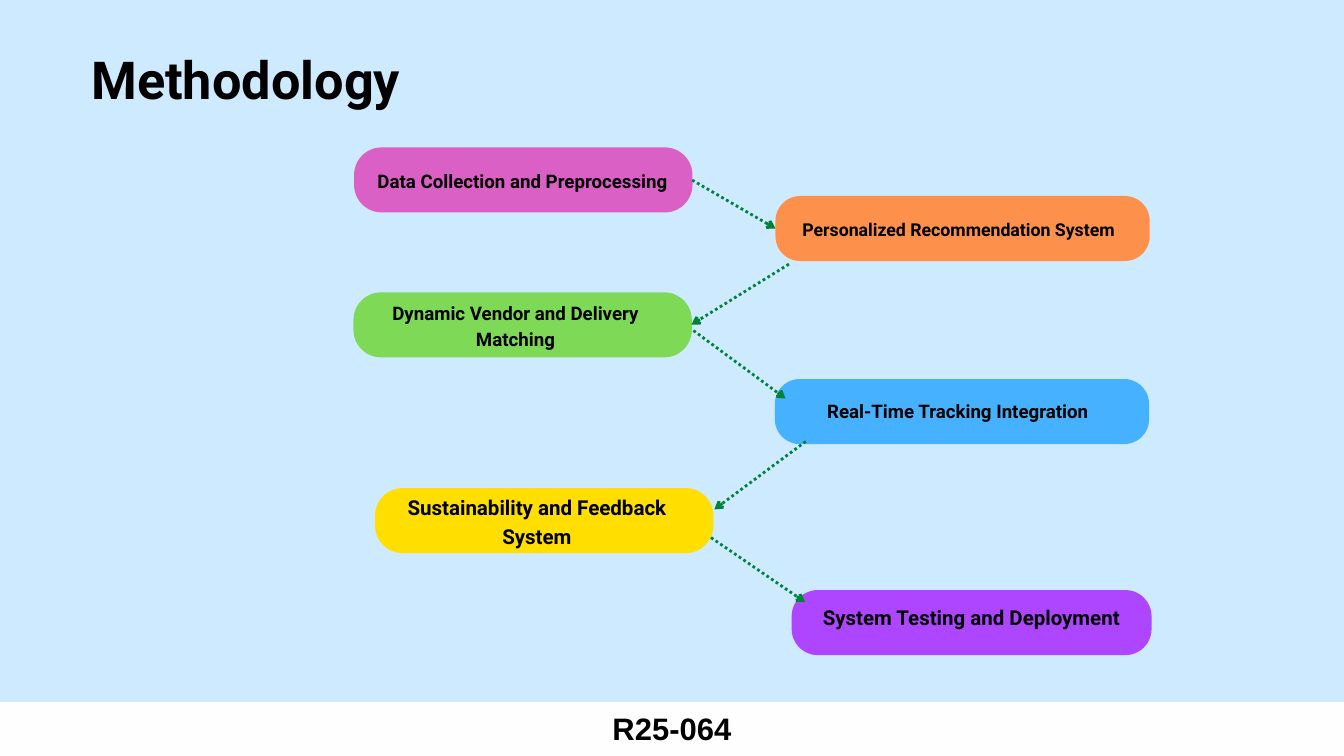
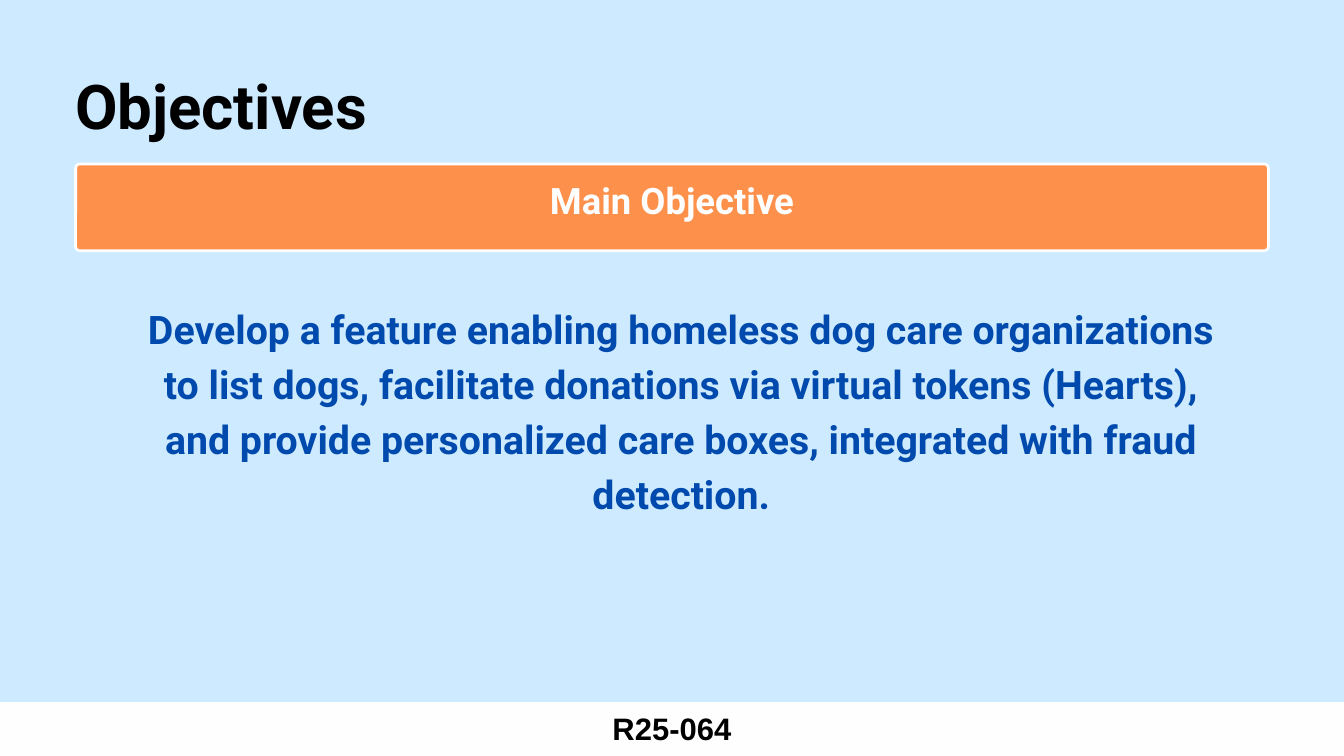
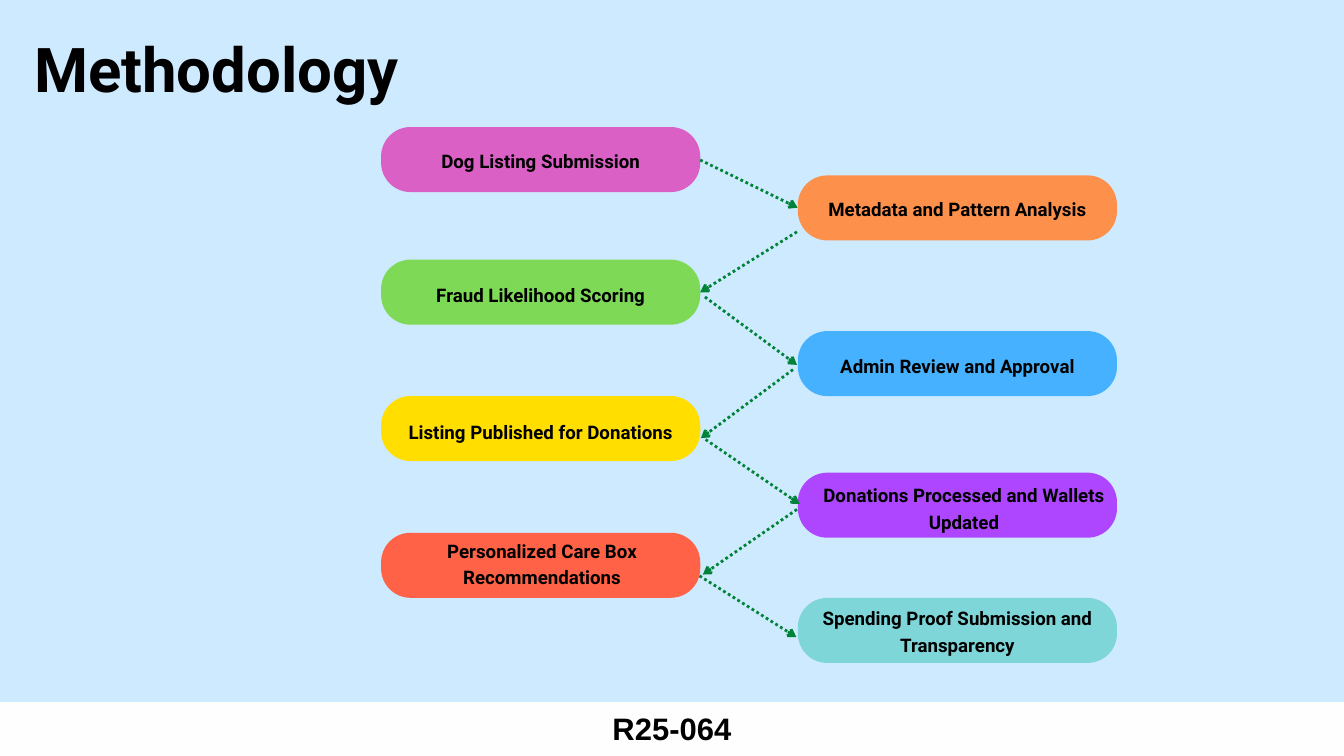
from lxml import etree
from pptx import Presentation
from pptx.dml.color import RGBColor
from pptx.enum import dml, shapes, text
from pptx.oxml import ns
from pptx.util import Pt

WIDTH, HEIGHT = 1440, 810
FOOTER_TOP = 752.4
PILL_H = 69.7
HEADING_FONT, FOOTER_FONT = "Roboto", "Arial"

SKY = RGBColor(0xCE, 0xEA, 0xFF)
WHITE = RGBColor(0xFE, 0xFE, 0xFF)
BLACK = RGBColor(0, 0, 0)
NAVY = RGBColor(0x00, 0x4A, 0xAD)
ARROW_GREEN = RGBColor(0x00, 0x83, 0x38)
PINK = RGBColor(0xDA, 0x60, 0xC5)
ORANGE = RGBColor(0xFD, 0x91, 0x4C)
LIME = RGBColor(0x7E, 0xD9, 0x57)
BLUE = RGBColor(0x46, 0xB2, 0xFF)
YELLOW = RGBColor(0xFF, 0xDE, 0x00)
PURPLE = RGBColor(0xAE, 0x46, 0xFF)
RED = RGBColor(0xFF, 0x62, 0x46)
TEAL = RGBColor(0x7E, 0xD6, 0xD9)

# label, fill, pill (left, top, width), corner radius, label box, label size
SYSTEM_STEPS = [
    ("Data Collection and Preprocessing", PINK,
     (379.4, 157.9, 362.6), 29.6, (391, 177.8, 337.7, 26.6), 20),
    ("Personalized Recommendation System", ORANGE,
     (830.9, 210, 401), 26.6, (846, 230.4, 362.2, 25.2), 19),
    ("Dynamic Vendor and Delivery Matching", LIME,
     (378.7, 313.2, 362.6), 29.6, (391, 319, 322.6, 54.7), 20),
    ("Real-Time Tracking Integration", BLUE,
     (830.2, 406.1, 401), 26.6, (876.2, 424.8, 300.2, 26.6), 20),
    ("Sustainability and Feedback System", YELLOW,
     (401.8, 522.9, 362.6), 29.6, (421.9, 526.3, 306.7, 59.8), 22),
    ("System Testing and Deployment", PURPLE,
     (848.2, 632.2, 385.6), 28, (866.2, 643.7, 349.2, 28.8), 21.9),
]
SYSTEM_ARROWS = [
    (741.6, 193, 830.9, 244.8), (845.3, 283, 740.9, 347.8),
    (743, 354.2, 841.7, 427), (863.3, 473, 765.4, 545.8),
    (761.8, 576, 862.6, 645.1),
]

# The listing steps alternate between two columns of equal pills.
LISTING_LEFTS = (408.3, 854.8)
LISTING_W = 342
# label, fill, pill top, label top, label width, label height, label shift right
LISTING_STEPS = [
    ("Dog Listing Submission", PINK, 136.1, 157, 226.8, 54.7, 0),
    ("Metadata and Pattern Analysis", ORANGE, 187.9, 208.1, 300.2, 54.7, 0),
    ("Fraud Likelihood Scoring", LIME, 278.2, 300.2, 242.6, 54.7, 0),
    ("Admin Review and Approval", BLUE, 354.7, 376.6, 274.3, 54.7, 0),
    ("Listing Published for Donations", YELLOW, 424.3, 446.4, 306.7, 54.7, 0),
    ("Donations Processed and Wallets Updated", PURPLE,
     506.4, 514.8, 310.3, 82.1, 7),
    ("Personalized Care Box Recommendations", RED, 570.8, 574.6, 310.3, 82.1, 1.5),
    ("Spending Proof Submission and Transparency", TEAL,
     640.6, 646.6, 310.3, 82.1, 0),
]
LISTING_ARROWS = [
    (750.2, 171.4, 854.6, 222.5), (853.9, 248.4, 750.2, 313.2),
    (755.3, 318.2, 853.9, 391), (849.6, 396, 751, 469.4),
    (756, 470.9, 856.8, 540), (853.9, 545.8, 753.1, 615.6),
    (749.5, 617, 853.2, 682.6),
]


def add_text(s, box, content, size, color=BLACK, font=HEADING_FONT,
             align=text.PP_ALIGN.CENTER, anchor=text.MSO_ANCHOR.TOP,
             inset=0, grow=True):
    """Bold wrapped text with line spacing 1.4 times its size."""
    tf = s.shapes.add_textbox(*map(Pt, box)).text_frame
    tf.word_wrap = True
    tf.vertical_anchor = anchor
    tf.margin_left = tf.margin_right = tf.margin_top = tf.margin_bottom = Pt(inset)
    if grow:
        tf.auto_size = text.MSO_AUTO_SIZE.SHAPE_TO_FIT_TEXT
    p = tf.paragraphs[0]
    p.alignment = align
    p.line_spacing = Pt(size * 1.4)
    r = p.add_run()
    r.text = content
    r.font.name, r.font.size, r.font.bold = font, Pt(size), True
    r.font.color.rgb = color


def add_box(s, box, fill, radius=0, line=None):
    kind = shapes.MSO_SHAPE.ROUNDED_RECTANGLE if radius else shapes.MSO_SHAPE.RECTANGLE
    sp = s.shapes.add_shape(kind, *map(Pt, box))
    if radius:
        sp.adjustments[0] = radius / box[3]
    sp.shadow.inherit = False
    sp.fill.solid()
    sp.fill.fore_color.rgb = fill
    if line is None:
        sp.line.fill.background()
    else:
        sp.line.color.rgb = line
        sp.line.width = Pt(3)


def add_arrow(s, ends):
    c = s.shapes.add_connector(shapes.MSO_CONNECTOR.STRAIGHT, *map(Pt, ends))
    c.line.color.rgb = ARROW_GREEN
    c.line.width = Pt(3)
    c.line.dash_style = dml.MSO_LINE.ROUND_DOT
    etree.SubElement(c.line._get_or_add_ln(), ns.qn("a:tailEnd"), type="arrow")
    etree.SubElement(c._element.spPr, ns.qn("a:effectLst"))


def add_step(s, label, fill, pill, radius, label_box, size):
    add_box(s, (*pill, PILL_H), fill, radius)
    add_text(s, label_box, label, size)


def add_slide(prs, title, title_box, size, align=text.PP_ALIGN.LEFT):
    """Blank slide with the shared background, footer band and title."""
    s = prs.slides.add_slide(prs.slide_layouts[6])
    s.background.fill.solid()
    s.background.fill.fore_color.rgb = SKY
    add_box(s, (0, FOOTER_TOP, WIDTH, HEIGHT - FOOTER_TOP), WHITE)
    add_text(s, (651.6, 753.8, 136.8, 46.8), "R25-064", 33.2, font=FOOTER_FONT)
    add_text(s, title_box, title, size, align=align)
    return s


def add_system_methodology(prs):
    s = add_slide(prs, "Methodology", (80.6, 38.9, 365.8, 75.6), 56,
                  text.PP_ALIGN.CENTER)
    for step in SYSTEM_STEPS:
        add_step(s, *step)
    for ends in SYSTEM_ARROWS:
        add_arrow(s, ends)


def add_objectives(prs):
    s = add_slide(prs, "Objectives", (80.6, 59, 345.6, 88.6), 66.1)
    add_box(s, (81, 175.7, 1278, 92.9), ORANGE, radius=4.3, line=WHITE)
    add_text(s, (81, 152.6, 1278, 115.9), "Main Objective", 39, color=WHITE,
             anchor=text.MSO_ANCHOR.MIDDLE, inset=4, grow=False)
    add_text(s, (144, 319, 1172.2, 289.4),
             "Develop a feature enabling homeless dog care organizations to list "
             "dogs, facilitate donations via virtual tokens (Hearts), and provide "
             "personalized care boxes, integrated with fraud detection.",
             42.1, color=NAVY)


def add_listing_methodology(prs):
    s = add_slide(prs, "Methodology", (36.7, 19.4, 444.2, 88.6), 66.1)
    for i, (label, fill, top, label_top, w, h, shift) in enumerate(LISTING_STEPS):
        left = LISTING_LEFTS[i % 2]
        label_left = left + (LISTING_W - w) / 2 + shift
        add_step(s, label, fill, (left, top, LISTING_W), 31.5,
                 (label_left, label_top, w, h), 20)
    for ends in LISTING_ARROWS:
        add_arrow(s, ends)


def main():
    prs = Presentation()
    prs.slide_width, prs.slide_height = Pt(WIDTH), Pt(HEIGHT)
    add_system_methodology(prs)
    add_objectives(prs)
    add_listing_methodology(prs)
    prs.save("out.pptx")


if __name__ == "__main__":
    main()
